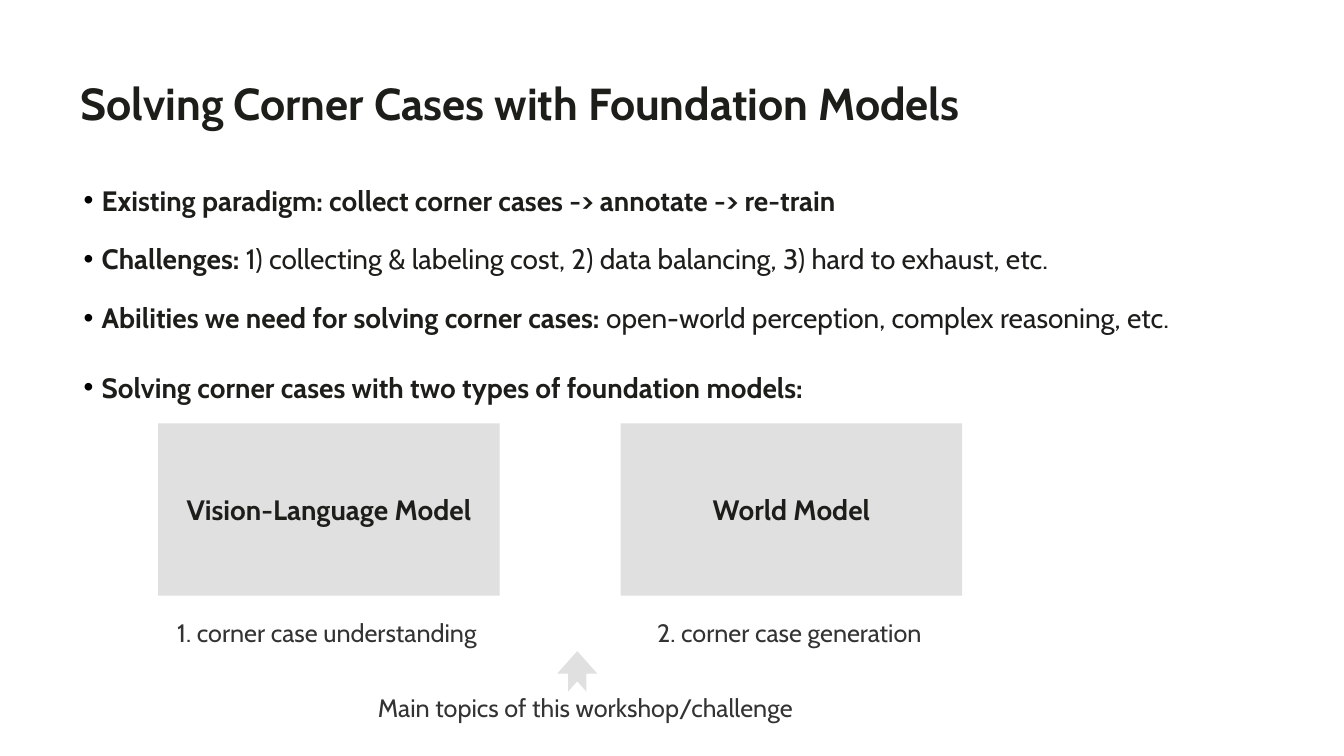
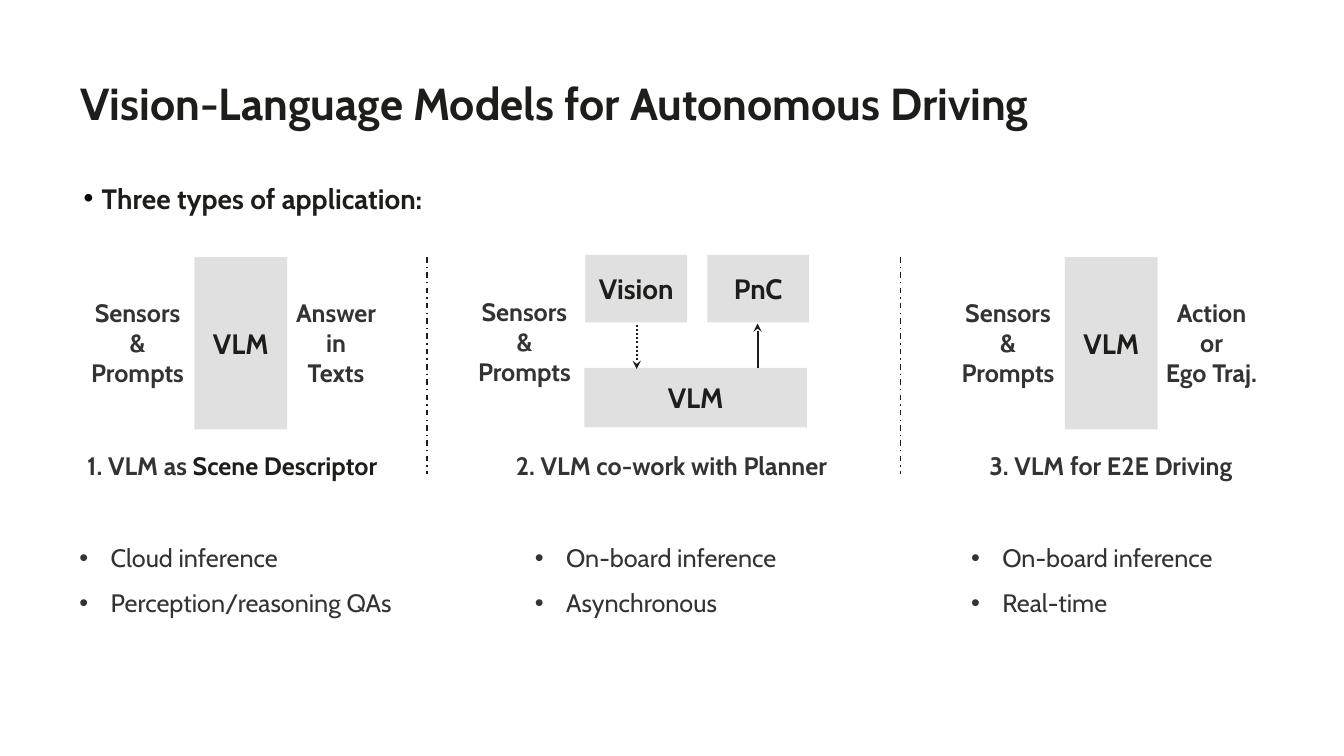
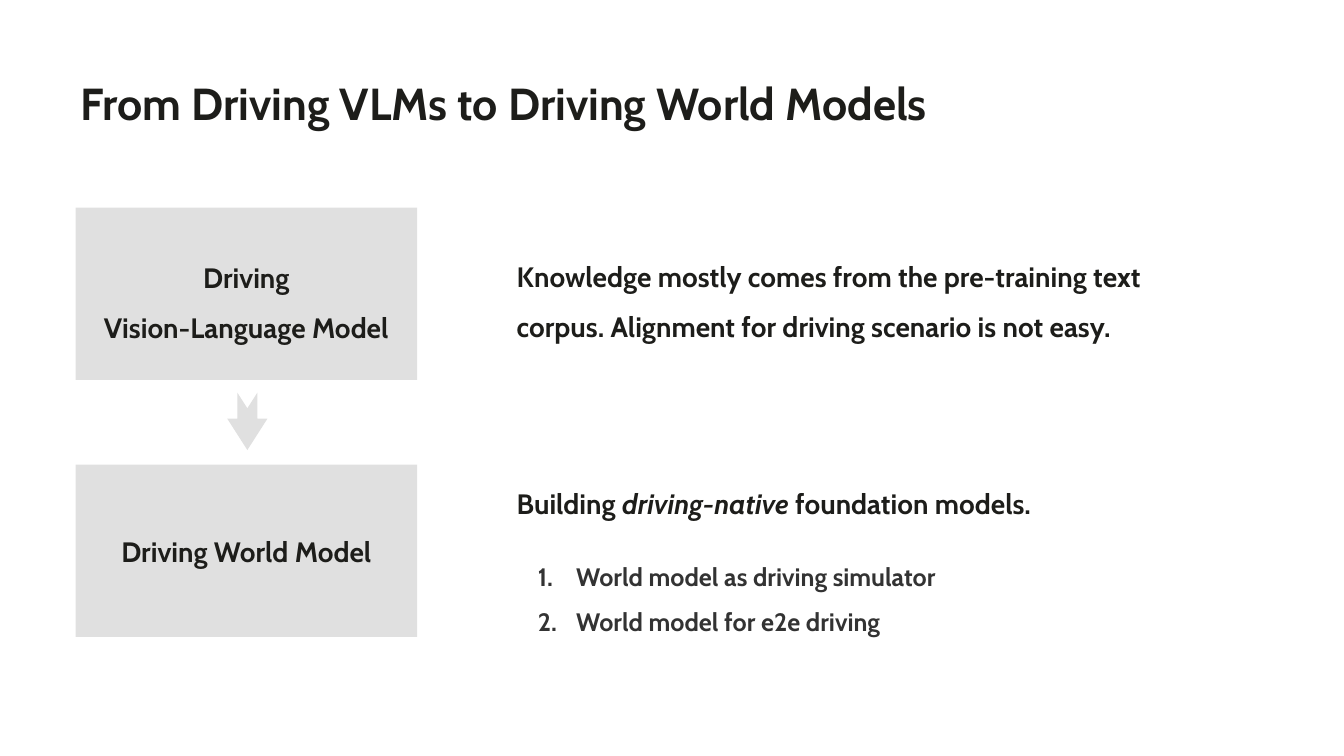
"""Build three slides on foundation models for driving corner cases."""
import dataclasses

import lxml.etree
import pptx
import pptx.dml.color
import pptx.enum.dml
import pptx.enum.shapes
import pptx.enum.text
import pptx.oxml.ns
import pptx.util

Inches = pptx.util.Inches
Pt = pptx.util.Pt
Align = pptx.enum.text.PP_ALIGN
Anchor = pptx.enum.text.MSO_ANCHOR
Shape = pptx.enum.shapes.MSO_SHAPE
Dash = pptx.enum.dml.MSO_LINE


@dataclasses.dataclass(frozen=True)
class Theme:
    """Colours, font and type sizes of the deck."""
    ink: str = "1D1D1A"
    grey: str = "333333"
    panel: str = "E0E0E0"
    bullet: str = "000000"
    font: str = "Cabin"
    title: float = 32
    body: float = 20
    label: float = 18
    title_leading: float = 34.3
    wide: float = 1.5


THEME = Theme()
INPUTS = ["Sensors", "&", "Prompts"]
BLOCK_WIDTH, BLOCK_HEIGHT = 3.39, 1.71


def rgb(colour):
    """Turn a hex string into a colour."""
    return pptx.dml.color.RGBColor.from_string(colour)


def add_element(parent, tag, **attributes):
    """Append a DrawingML element to a parent."""
    return lxml.etree.SubElement(parent, pptx.oxml.ns.qn(tag), attributes)


def set_marker(paragraph, marker, indent, hang, colour):
    """Give a paragraph a hanging bullet, or a number when the marker is '1.'."""
    properties = paragraph._p.get_or_add_pPr()
    properties.set("marL", str(Inches(indent)))
    properties.set("indent", str(-Inches(hang)))
    if colour:
        add_element(add_element(properties, "a:buClr"), "a:srgbClr", val=colour)
    if marker == "1.":
        add_element(properties, "a:buAutoNum", type="arabicPeriod")
    else:
        add_element(properties, "a:buFont", typeface="Arial")
        add_element(properties, "a:buChar", char=marker)


def write(frame, paragraphs, size=THEME.label, colour=THEME.grey, bold=False,
          align=Align.LEFT, anchor=Anchor.TOP, inset=None, spacing=None, after=None,
          marker=None, indent=0.31, hang=0.31, marker_colour=None):
    """Write paragraphs, each a string or a list of (text, format changes)."""
    frame.word_wrap = True
    frame.vertical_anchor = anchor
    if inset is not None:
        frame.margin_left = frame.margin_right = Inches(inset)
        frame.margin_top = frame.margin_bottom = Inches(inset)
    for index, content in enumerate(paragraphs):
        paragraph = frame.paragraphs[0] if index == 0 else frame.add_paragraph()
        if marker:
            set_marker(paragraph, marker, indent, hang, marker_colour)
        paragraph.alignment = align
        if spacing:
            paragraph.line_spacing = spacing
        if after:
            paragraph.space_after = Pt(after)
        for text, changes in [(content, {})] if isinstance(content, str) else content:
            run = paragraph.add_run()
            run.text = text
            run.font.name = THEME.font
            run.font.size = Pt(size)
            run.font.bold = changes.get("bold", bold)
            run.font.italic = changes.get("italic", False)
            run.font.color.rgb = rgb(changes.get("colour", colour))
    return frame


def add_text(slide, left, top, width, height, paragraphs, **style):
    """Add a text box and return its frame."""
    box = slide.shapes.add_textbox(*map(Inches, (left, top, width, height)))
    return write(box.text_frame, paragraphs, **style)


def add_solid(slide, kind, left, top, width, height):
    """Add a flat grey shape."""
    solid = slide.shapes.add_shape(kind, *map(Inches, (left, top, width, height)))
    solid.shadow.inherit = False
    solid.fill.solid()
    solid.fill.fore_color.rgb = rgb(THEME.panel)
    solid.line.fill.background()
    return solid


def add_block(slide, left, top, width, height, paragraphs, spacing=None):
    """Add a grey block with a bold centred label."""
    block = add_solid(slide, Shape.RECTANGLE, left, top, width, height)
    write(block.text_frame, paragraphs, size=THEME.body, colour=THEME.ink, bold=True,
          align=Align.CENTER, anchor=Anchor.MIDDLE, spacing=spacing)


def add_notched_arrow(slide, left, top, length, rotation, shaft, notch):
    """Add a notched arrow turned by the given angle."""
    arrow = add_solid(slide, Shape.NOTCHED_RIGHT_ARROW, left, top, length, 0.4)
    arrow.rotation = rotation
    arrow.adjustments[0] = shaft
    arrow.adjustments[1] = notch


def add_line(slide, x, start, end, weight, dash=None, arrow=False):
    """Add a vertical line, optionally dashed or with an arrowhead at its end."""
    line = slide.shapes.add_connector(
        pptx.enum.shapes.MSO_CONNECTOR.STRAIGHT, *map(Inches, (x, start, x, end)))
    add_element(line._element.spPr, "a:effectLst")
    line.line.color.rgb = rgb(THEME.ink)
    line.line.width = Pt(weight)
    if dash:
        line.line.dash_style = dash
    if arrow:
        add_element(line.line._get_or_add_ln(), "a:tailEnd", type="stealth")


def add_slide(deck, title):
    """Add a blank slide with the shared title."""
    slide = deck.slides.add_slide(deck.slide_layouts[6])
    add_text(slide, 0.8, 0.5, 11.75, 1.09, [title], size=THEME.title, colour=THEME.ink,
             bold=True, anchor=Anchor.MIDDLE, inset=0, spacing=Pt(THEME.title_leading))
    return slide


def add_points(slide, top, points):
    """Add the main bulleted text of a slide."""
    return add_text(slide, 0.81, top, 11.74, 5.13, points, size=THEME.body,
                    colour=THEME.ink, bold=True, inset=0, spacing=THEME.wide, after=6,
                    marker="•", indent=0.2, hang=0.18, marker_colour=THEME.bullet)


def add_label(slide, left, top, width, lines, bold=True):
    """Add a centred label of one or more lines."""
    add_text(slide, left, top, width, 0.1 + 0.3 * len(lines), lines, bold=bold,
             align=Align.CENTER)


def add_single_model(slide, left, answer_left, answer):
    """Add a model block between its inputs and its answer."""
    add_block(slide, left, 2.55, 0.92, BLOCK_HEIGHT, ["VLM"])
    add_label(slide, left - 1.16, 2.9, 1.19, INPUTS)
    add_label(slide, answer_left, 2.9, 1.19, answer)


def add_planner_model(slide):
    """Add the model that works with the vision and planning modules."""
    add_label(slide, 4.61, 2.89, 1.19, INPUTS)
    add_block(slide, 5.8, 3.65, 2.21, 0.59, ["VLM"])
    for left, module in ((5.81, "Vision"), (7.02, "PnC")):
        add_block(slide, left, 2.53, 1.01, 0.67, [module])
    add_line(slide, 6.32, 3.22, 3.66, 1.5, dash=Dash.ROUND_DOT, arrow=True)
    add_line(slide, 7.52, 3.65, 3.21, 1.5, arrow=True)


def build_corner_cases(deck):
    """Build the slide on solving corner cases."""
    slide = add_slide(deck, "Solving Corner Cases with Foundation Models")
    plain = {"bold": False}
    points = add_points(slide, 1.65, [
        "Existing paradigm: collect corner cases -> annotate -> re-train",
        [("Challenges:", {}),
         (" 1) collecting & labeling cost, 2) data balancing, 3) hard to exhaust, etc.", plain)],
        [("Abilities we need for solving corner cases: ", {}),
         ("open-world perception, complex reasoning, etc.", plain)],
        "Solving corner cases with two types of foundation models:",
    ])
    points.paragraphs[-1].space_before = Pt(7.5)
    for left, model, topic in (
            (1.57, "Vision-Language Model", "1. corner case understanding"),
            (6.16, "World Model", "2. corner case generation")):
        add_block(slide, left, 4.2, BLOCK_WIDTH, BLOCK_HEIGHT, [model])
        add_label(slide, left - 0.02, 6.08, BLOCK_WIDTH, [topic], bold=False)
    add_label(slide, 3.15, 6.82, 5.32, ["Main topics of this workshop/challenge"], bold=False)
    add_notched_arrow(slide, 5.53, 6.46, 0.4, 270, 0.45, 0.56)


def build_applications(deck):
    """Build the slide on three ways to apply vision-language models."""
    slide = add_slide(deck, "Vision-Language Models for Autonomous Driving")
    add_points(slide, 1.63, ["Three types of application:"])
    add_single_model(slide, 1.93, 2.74, ["Answer", "in", "Texts"])
    add_planner_model(slide)
    add_single_model(slide, 10.57, 11.43, ["Action", "or", "Ego Traj."])
    for divider in (4.24, 8.94):
        add_line(slide, divider, 2.55, 4.7, 1, dash=Dash.DASH_DOT)
    descriptor = [("1. VLM as ", {}), ("Scene Descriptor", {"colour": THEME.ink})]
    for caption_left, width, caption, traits_left, traits in (
            (0.61, 3.39, descriptor, 0.69, ["Cloud inference", "Perception/reasoning QAs"]),
            (4.78, 3.77, "2. VLM co-work with Planner", 5.21,
             ["On-board inference", "Asynchronous"]),
            (9.33, 3.39, "3. VLM for E2E Driving", 9.54,
             ["On-board inference", "Real-time"])):
        add_label(slide, caption_left, 4.42, width, [caption])
        add_text(slide, traits_left, 5.18, 3.39, 0.96, traits, spacing=THEME.wide, marker="•")


def build_world_models(deck):
    """Build the slide on moving to driving world models."""
    slide = add_slide(deck, "From Driving VLMs to Driving World Models")
    add_block(slide, 0.75, 2.06, BLOCK_WIDTH, BLOCK_HEIGHT,
              ["Driving", "Vision-Language Model"], spacing=THEME.wide)
    add_notched_arrow(slide, 2.17, 3.98, 0.57, 90, 0.5, 0.78)
    add_block(slide, 0.75, 4.61, BLOCK_WIDTH, BLOCK_HEIGHT, ["Driving World Model"])
    knowledge = ("Knowledge mostly comes from the pre-training text corpus. "
                 "Alignment for driving scenario is not easy.")
    native = [("Building ", {}), ("driving-native", {"italic": True}),
              (" foundation models.", {})]
    for top, height, remark in ((2.36, 1.06, knowledge), (4.61, 0.55, native)):
        add_text(slide, 5.03, top, 6.48, height, [remark], size=THEME.body,
                 colour=THEME.ink, bold=True, spacing=THEME.wide)
    add_text(slide, 5.24, 5.37, 4.5, 0.96,
             ["World model as driving simulator", "World model for e2e driving"],
             bold=True, spacing=THEME.wide, marker="1.", indent=0.38, hang=0.38)


def main():
    """Build and save the deck."""
    deck = pptx.Presentation()
    deck.slide_width = Inches(13.34)
    deck.slide_height = Inches(7.5)
    build_corner_cases(deck)
    build_applications(deck)
    build_world_models(deck)
    deck.save("out.pptx")


if __name__ == "__main__":
    main()
